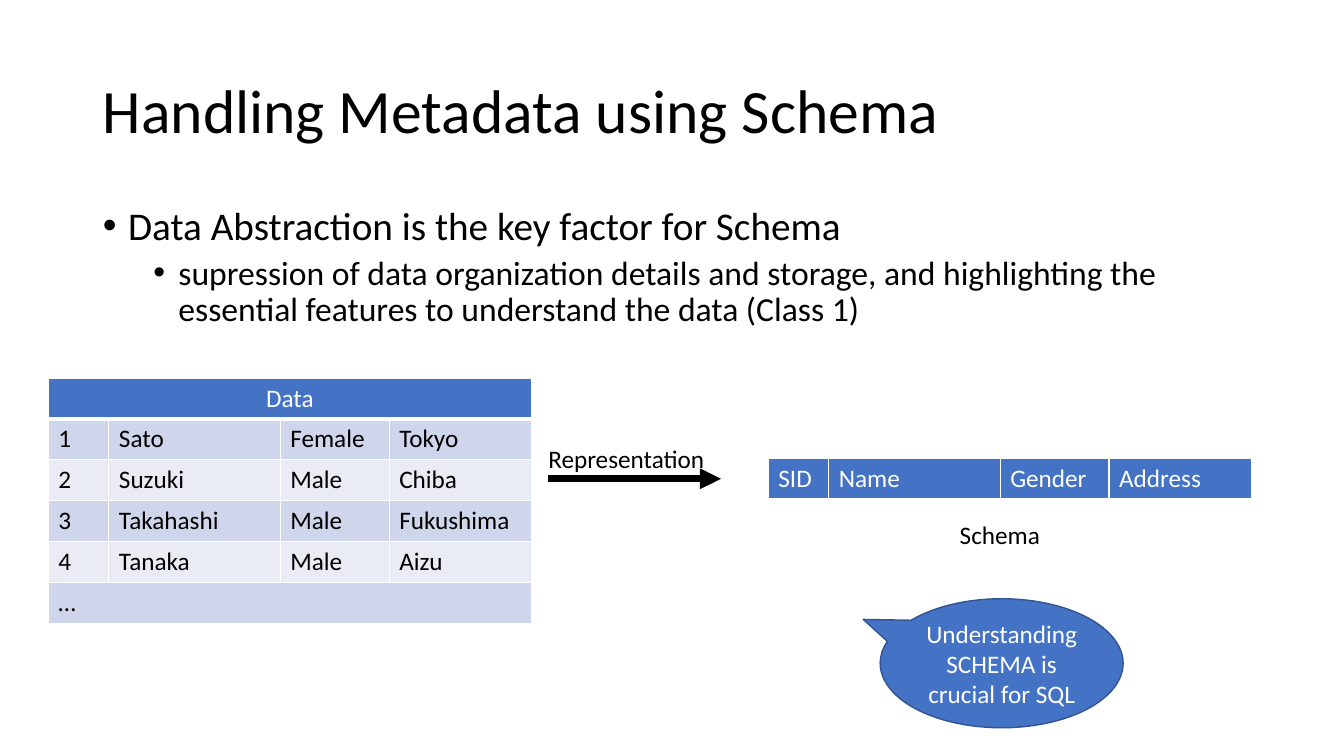
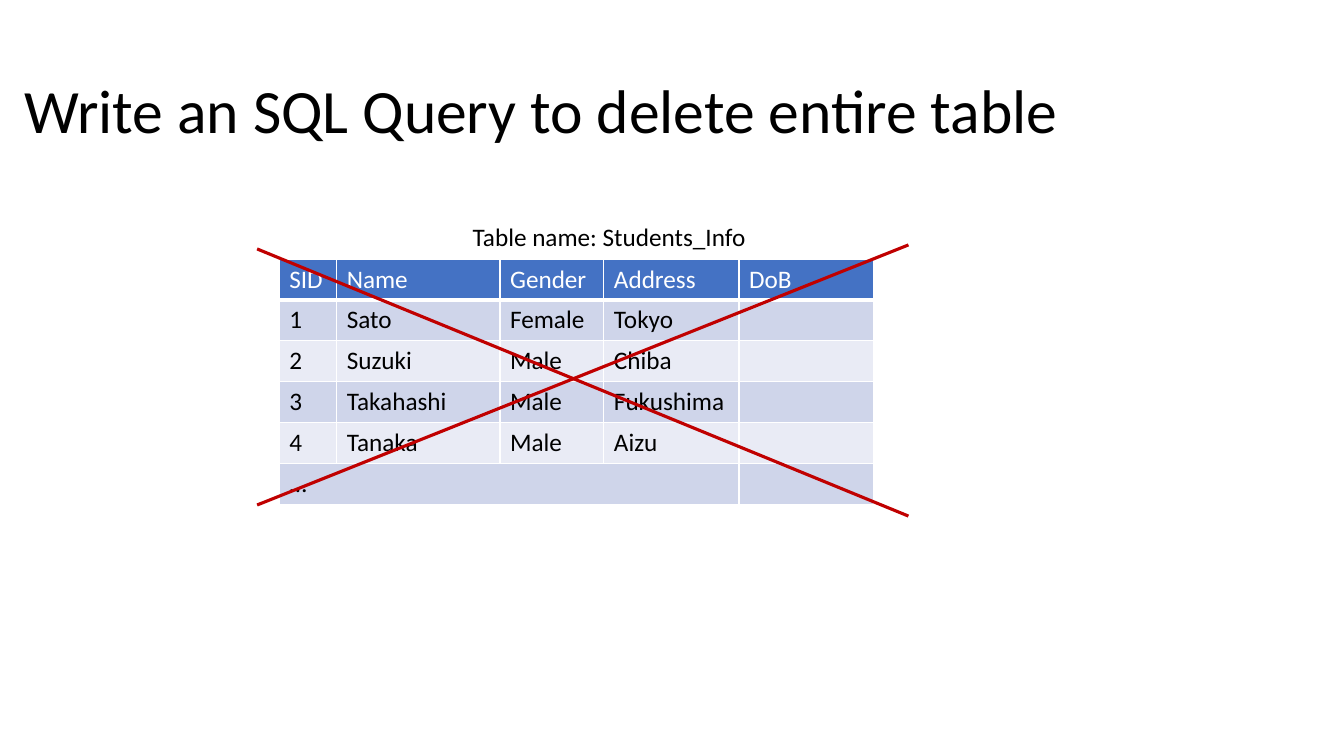
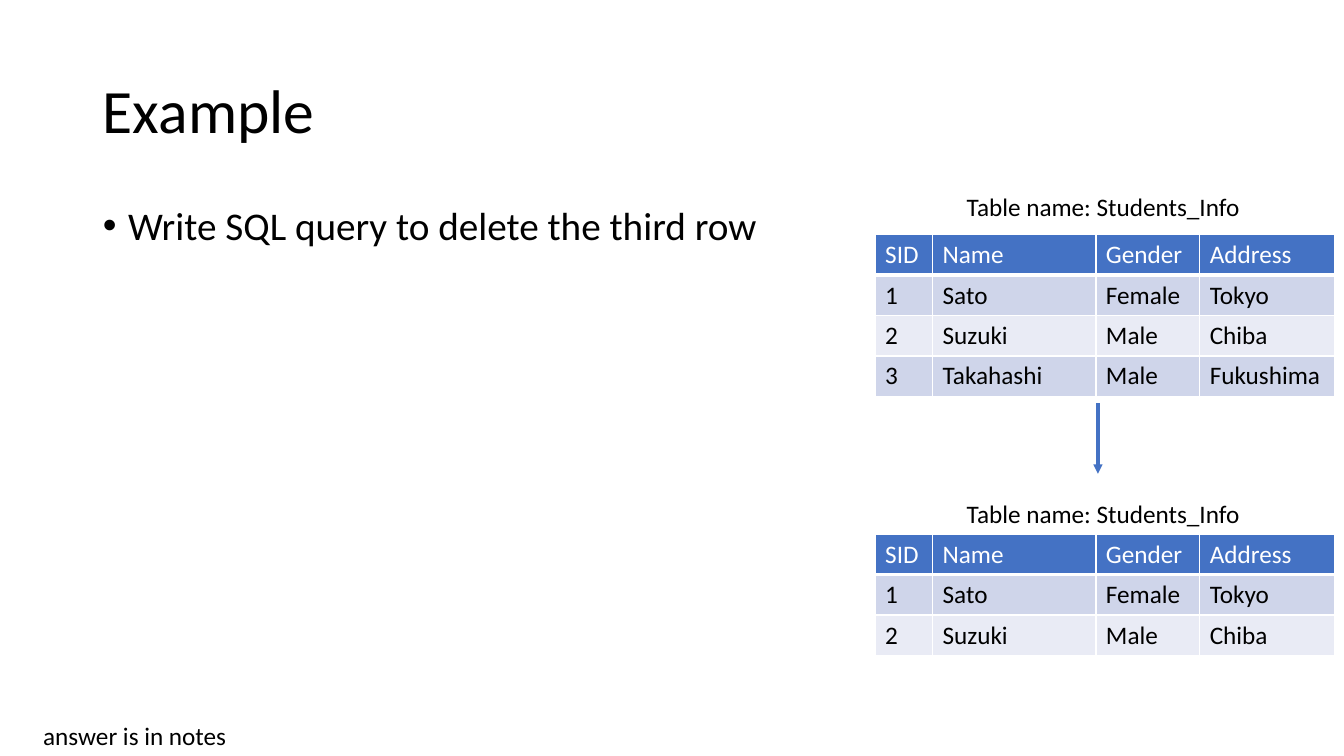
from lxml.etree import SubElement
from pptx import Presentation
from pptx.dml.color import RGBColor
from pptx.enum.shapes import MSO_CONNECTOR, MSO_SHAPE
from pptx.enum.text import MSO_ANCHOR, MSO_AUTO_SIZE, PP_ALIGN
from pptx.oxml.ns import qn
from pptx.util import Emu, Pt

FONT = "Calibri"
BLACK, WHITE, BLUE, RED = "000000", "FFFFFF", "4472C4", "C00000"
OUTLINE = "325491"
BANDS = ("E9EBF5", "CFD5EA")
ROW_HEIGHT = 40
WIDE_COLUMNS = (60, 170, 108, 141)
NARROW_COLUMNS = (57, 162, 103, 134)
TABLE_NAME = "Table name: Students_Info"
HEADINGS = ["SID", "Name", "Gender", "Address"]
STUDENTS = [
    ["1", "Sato", "Female", "Tokyo"],
    ["2", "Suzuki", "Male", "Chiba"],
    ["3", "Takahashi", "Male", "Fukushima"],
    ["4", "Tanaka", "Male", "Aizu"],
]
MORE = ["…", None, None, None]


def px(length):
    """Turn px, a hundred to the inch, into EMU."""
    return Emu(length * 9144)


def color(value):
    """Turn a hex string into a colour."""
    return RGBColor.from_string(value)


def place(shape, left, top, width, height):
    """Move and size a shape."""
    shape.left, shape.top = px(left), px(top)
    shape.width, shape.height = px(width), px(height)


def write(paragraph, text, size=18, fill=BLACK, align=PP_ALIGN.LEFT, spacing=None):
    """Write one formatted span into a paragraph."""
    paragraph.alignment = align
    if spacing:
        paragraph.line_spacing = spacing
    span = paragraph.add_run()
    span.text = text
    span.font.name = FONT
    span.font.size = Pt(size)
    span.font.bold = False
    span.font.color.rgb = color(fill)


def add_page(deck, title, layout, left=92, width=1150):
    """Add a slide with its title."""
    page = deck.slides.add_slide(deck.slide_layouts[layout])
    box = page.shapes.title
    place(box, left, 40, width, 145)
    box.text_frame.auto_size = MSO_AUTO_SIZE.NONE
    box.text_frame.vertical_anchor = MSO_ANCHOR.MIDDLE
    write(box.text_frame.paragraphs[0], title, size=44, spacing=0.9)
    return page


def fill_body(page, width, items):
    """Fill the body placeholder with one bullet for each level."""
    box = page.placeholders[1]
    place(box, 92, 200, width, 476)
    frame = box.text_frame
    frame.auto_size = MSO_AUTO_SIZE.NONE
    for level, text in enumerate(items):
        para = frame.add_paragraph() if level else frame.paragraphs[0]
        para.level = level
        para.space_before = Pt((10, 5)[level])
        write(para, text, size=(28, 24)[level], spacing=0.9)
        properties = para._p.get_or_add_pPr()
        properties.set("marL", str(px(25 + 50 * level)))
        properties.set("indent", str(px(-25)))
        SubElement(properties, qn("a:buFont"), typeface="Arial")
        SubElement(properties, qn("a:buChar"), char="•")


def add_label(page, text, left, top, width):
    """Add a one-line label that does not wrap."""
    box = page.shapes.add_textbox(px(left), px(top), px(width), px(40))
    box.text_frame.word_wrap = False
    box.text_frame.auto_size = MSO_AUTO_SIZE.SHAPE_TO_FIT_TEXT
    write(box.text_frame.paragraphs[0], text)


def add_line(page, start, end, stroke, width, arrow=False):
    """Add a straight line, with an arrowhead if asked."""
    line = page.shapes.add_connector(
        MSO_CONNECTOR.STRAIGHT, px(start[0]), px(start[1]), px(end[0]), px(end[1]))
    line.line.color.rgb = color(stroke)
    line.line.width = Pt(width)
    if arrow:
        SubElement(line.line._get_or_add_ln(), qn("a:tailEnd"), type="triangle")
    SubElement(line._element.spPr, qn("a:effectLst"))


def add_borders(cell, bottom):
    """Draw white borders round a cell."""
    properties = cell._tc.get_or_add_tcPr()
    for side, width in (("L", 1), ("R", 1), ("T", 1), ("B", bottom)):
        border = SubElement(properties, qn(f"a:ln{side}"), w=str(Pt(width)))
        SubElement(SubElement(border, qn("a:solidFill")), qn("a:srgbClr"), val=WHITE)


def add_grid(page, left, top, columns, rows, heading_align=PP_ALIGN.LEFT):
    """Add a banded table; None joins a cell to the one on its left."""
    table = page.shapes.add_table(
        len(rows), len(columns), px(left), px(top),
        px(sum(columns)), px(ROW_HEIGHT * len(rows))).table
    for column, width in zip(table.columns, columns):
        column.width = px(width)
    for r, row in enumerate(rows):
        heading = r == 0
        for c, text in enumerate(row):
            cell = table.cell(r, c)
            add_borders(cell, 3 if heading else 1)
            cell.fill.solid()
            cell.fill.fore_color.rgb = color(BLUE if heading else BANDS[r % 2])
            if text:
                write(cell.text_frame.paragraphs[0], text,
                      fill=WHITE if heading else BLACK,
                      align=heading_align if heading else PP_ALIGN.LEFT)
        joined = row.count(None)
        if joined:
            first = row.index(None) - 1
            table.cell(r, first).merge(table.cell(r, first + joined))


def add_callout(page, text, left, top, width, height):
    """Add an oval callout that points up and left."""
    callout = page.shapes.add_shape(
        MSO_SHAPE.OVAL_CALLOUT, px(left), px(top), px(width), px(height))
    callout.adjustments[0], callout.adjustments[1] = -0.57, -0.34
    callout.shadow.inherit = False
    callout.fill.solid()
    callout.fill.fore_color.rgb = color(BLUE)
    callout.line.color.rgb = color(OUTLINE)
    callout.line.width = Pt(1)
    callout.text_frame.word_wrap = True
    callout.text_frame.vertical_anchor = MSO_ANCHOR.MIDDLE
    write(callout.text_frame.paragraphs[0], text, fill=WHITE, align=PP_ALIGN.CENTER)


def add_schema_page(deck):
    """Show data beside its schema."""
    page = add_page(deck, "Handling Metadata using Schema", 1)
    fill_body(page, 1150, [
        "Data Abstraction is the key factor for Schema",
        "supression of data organization details and storage, and highlighting "
        "the essential features to understand the data (Class 1)",
    ])
    add_grid(page, 48, 375, WIDE_COLUMNS,
             [["Data", None, None, None], *STUDENTS, MORE], PP_ALIGN.CENTER)
    add_grid(page, 762, 455, WIDE_COLUMNS, [HEADINGS])
    add_label(page, "Schema", 942, 510, 101)
    add_line(page, (544, 475), (715, 475), BLACK, 5, arrow=True)
    add_label(page, "Representation", 534, 435, 177)
    add_callout(page, "Understanding SCHEMA is crucial for SQL", 873, 594, 241, 128)


def add_delete_table_page(deck):
    """Show a whole table crossed out."""
    page = add_page(deck, "Write an SQL Query to delete entire table", 5, 14, 1310)
    rows = [[*HEADINGS, "DoB"]] + [[*row, ""] for row in [*STUDENTS, MORE]]
    add_grid(page, 277, 257, (*NARROW_COLUMNS, 134), rows)
    add_label(page, TABLE_NAME, 459, 215, 294)
    add_line(page, (255, 247), (901, 512), RED, 2.25)
    add_line(page, (255, 501), (901, 243), RED, 2.25)


def add_delete_row_page(deck):
    """Show a table before and after a row is deleted."""
    page = add_page(deck, "Example", 1)
    fill_body(page, 696, ["Write SQL query to delete the third row"])
    for label_top, table_top, count in ((185, 233, 3), (489, 530, 2)):
        add_label(page, TABLE_NAME, 949, label_top, 294)
        add_grid(page, 868, table_top, NARROW_COLUMNS, [HEADINGS, *STUDENTS[:count]])
    add_line(page, (1089, 400), (1089, 470), BLUE, 2.25, arrow=True)
    add_label(page, "answer is in notes", 33, 710, 204)


def main():
    """Build and save the deck."""
    deck = Presentation()
    deck.slide_width, deck.slide_height = px(1333), px(750)
    add_schema_page(deck)
    add_delete_table_page(deck)
    add_delete_row_page(deck)
    deck.save("out.pptx")


if __name__ == "__main__":
    main()
